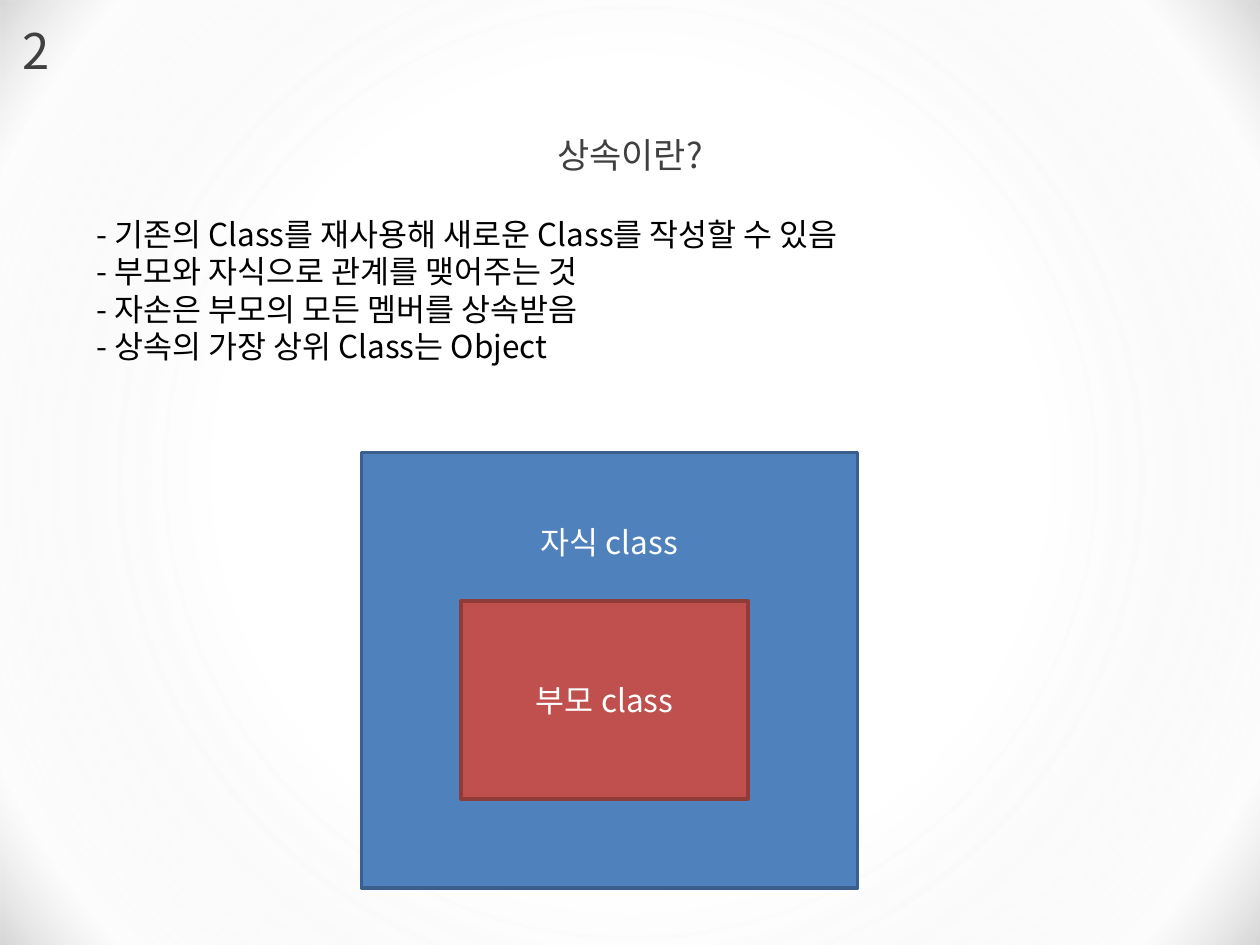
from lxml.etree import SubElement
from pptx import Presentation
from pptx.dml.color import RGBColor
from pptx.enum.shapes import MSO_SHAPE as Shape
from pptx.enum.text import MSO_ANCHOR as Anchor, PP_ALIGN as Align
from pptx.oxml import parse_xml
from pptx.oxml.ns import nsdecls, qn
from pptx.util import Pt

WIDTH, HEIGHT = 720, 540


def color(value):
    return RGBColor.from_string(value)


class SlideBuilder:
    font = "Noto Sans CJK KR"
    inset = 3.6

    def __init__(self, slide):
        self.slide = slide

    def rectangle(self, box, fill=None, line=None):
        shape = self.slide.shapes.add_shape(Shape.RECTANGLE, *map(Pt, box))
        shape.shadow.inherit = False
        if fill:
            shape.fill.solid()
            shape.fill.fore_color.rgb = color(fill)
        if line:
            shape.line.color.rgb = color(line)
            shape.line.width = Pt(2)
        else:
            shape.line.fill.background()
        return shape

    def backdrop(self, stops):
        shape = self.rectangle((0, 0, WIDTH, HEIGHT))
        shape.fill.background()
        entries = "".join(
            f'<a:gs pos="{position * 1000}"><a:srgbClr val="{value}">'
            f'<a:alpha val="{opacity * 1000}"/></a:srgbClr></a:gs>'
            for position, value, opacity in stops
        )
        gradient = parse_xml(
            f'<a:gradFill {nsdecls("a")} rotWithShape="1"><a:gsLst>{entries}</a:gsLst>'
            '<a:path path="circle"><a:fillToRect l="50000" t="50000" r="50000" b="50000"/>'
            "</a:path></a:gradFill>"
        )
        properties = shape.element.spPr
        properties.replace(properties.find(qn("a:noFill")), gradient)

    def add_lines(self, shape, lines, size, value, align=Align.LEFT, top=None):
        frame = shape.text_frame
        settings = {
            "word_wrap": True,
            "vertical_anchor": Anchor.MIDDLE if top is None else Anchor.TOP,
            "margin_top": Pt(self.inset if top is None else top),
            "margin_bottom": Pt(self.inset),
        }
        for name, setting in settings.items():
            setattr(frame, name, setting)
        for index, line in enumerate(lines):
            paragraph = frame.add_paragraph() if index else frame.paragraphs[0]
            paragraph.alignment = align
            if top is not None:
                paragraph.line_spacing = Pt(round(size * 1.19, 1))
            run = paragraph.add_run()
            run.text = line
            for name, setting in {"name": self.font, "size": Pt(size)}.items():
                setattr(run.font, name, setting)
            run.font.color.rgb = color(value)
            SubElement(run.font._element, qn("a:ea"), typeface=self.font)

    def text(self, box, lines, size, value, align=Align.LEFT, top=None):
        shape = self.slide.shapes.add_textbox(*map(Pt, box))
        self.add_lines(shape, lines, size, value, align, top)

    def class_box(self, box, label, fill, line, top=None):
        shape = self.rectangle(box, fill, line)
        self.add_lines(shape, [label], 18, "FFFFFF", Align.CENTER, top)


def main():
    presentation = Presentation()
    presentation.slide_width, presentation.slide_height = Pt(WIDTH), Pt(HEIGHT)
    slide = presentation.slides.add_slide(presentation.slide_layouts[6])
    builder = SlideBuilder(slide)
    builder.backdrop([(52, "FFFFFF", 100), (88, "F2F2F2", 16), (100, "595959", 25)])
    builder.text((6, 6, 65.5, 54.5), ["2"], 28, "404040", top=6)
    builder.text((36, 66.5, 648, 44), ["상속이란?"], 20, "404040", Align.CENTER)
    points = [
        "- 기존의 Class를 재사용해 새로운 Class를 작성할 수 있음",
        "- 부모와 자식으로 관계를 맺어주는 것",
        "- 자손은 부모의 모든 멤버를 상속받음",
        "- 상속의 가장 상위 Class는 Object",
    ]
    builder.text((48, 117.5, 641, 94.5), points, 18, "000000", top=5.5)
    builder.class_box((206.5, 258.5, 283.5, 249), "자식 class", "4F81BD", "3A5F8C", top=40.5)
    builder.class_box((263.5, 343.5, 164, 113), "부모 class", "C0504D", "8E3B39")
    presentation.save("out.pptx")


if __name__ == "__main__":
    main()
